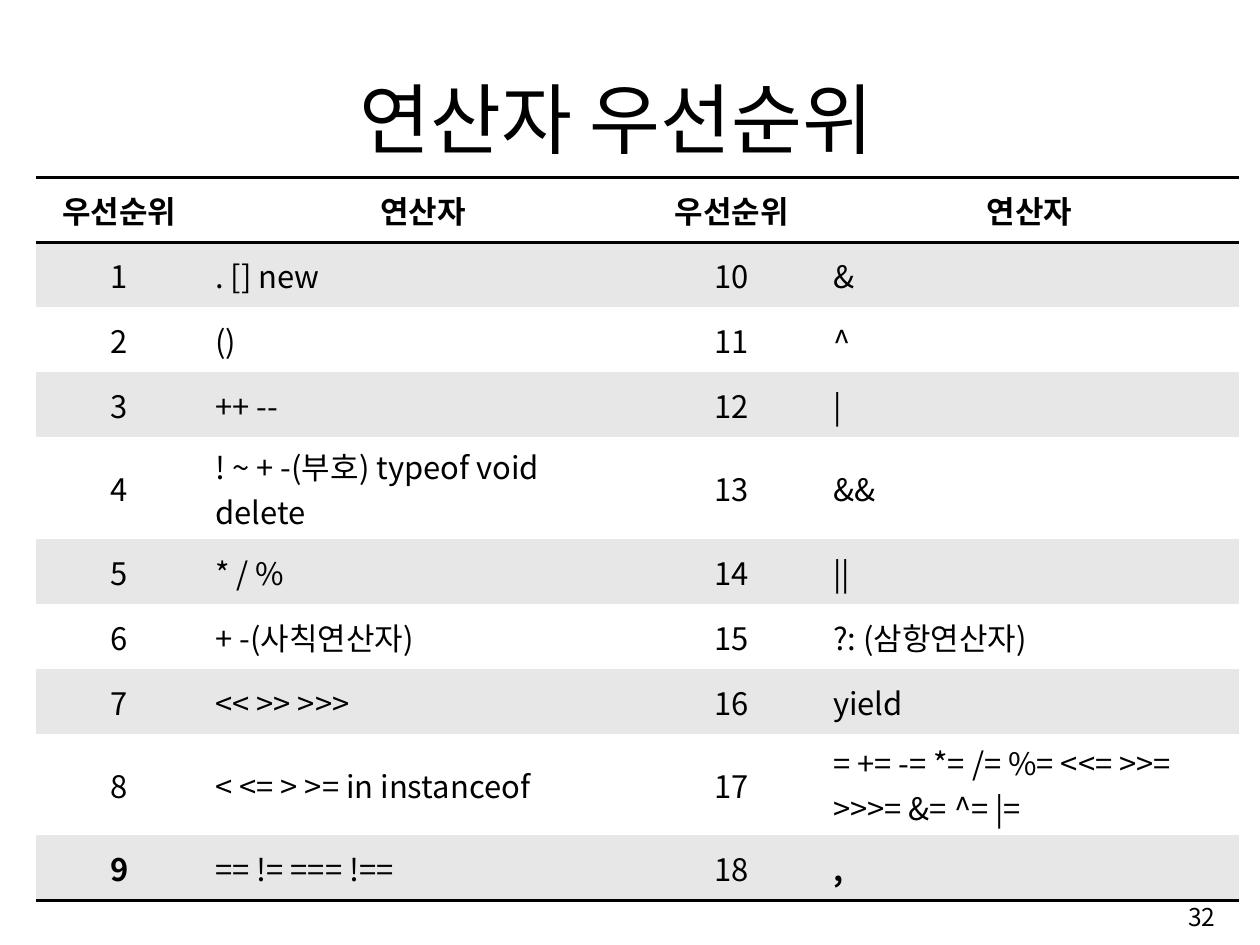
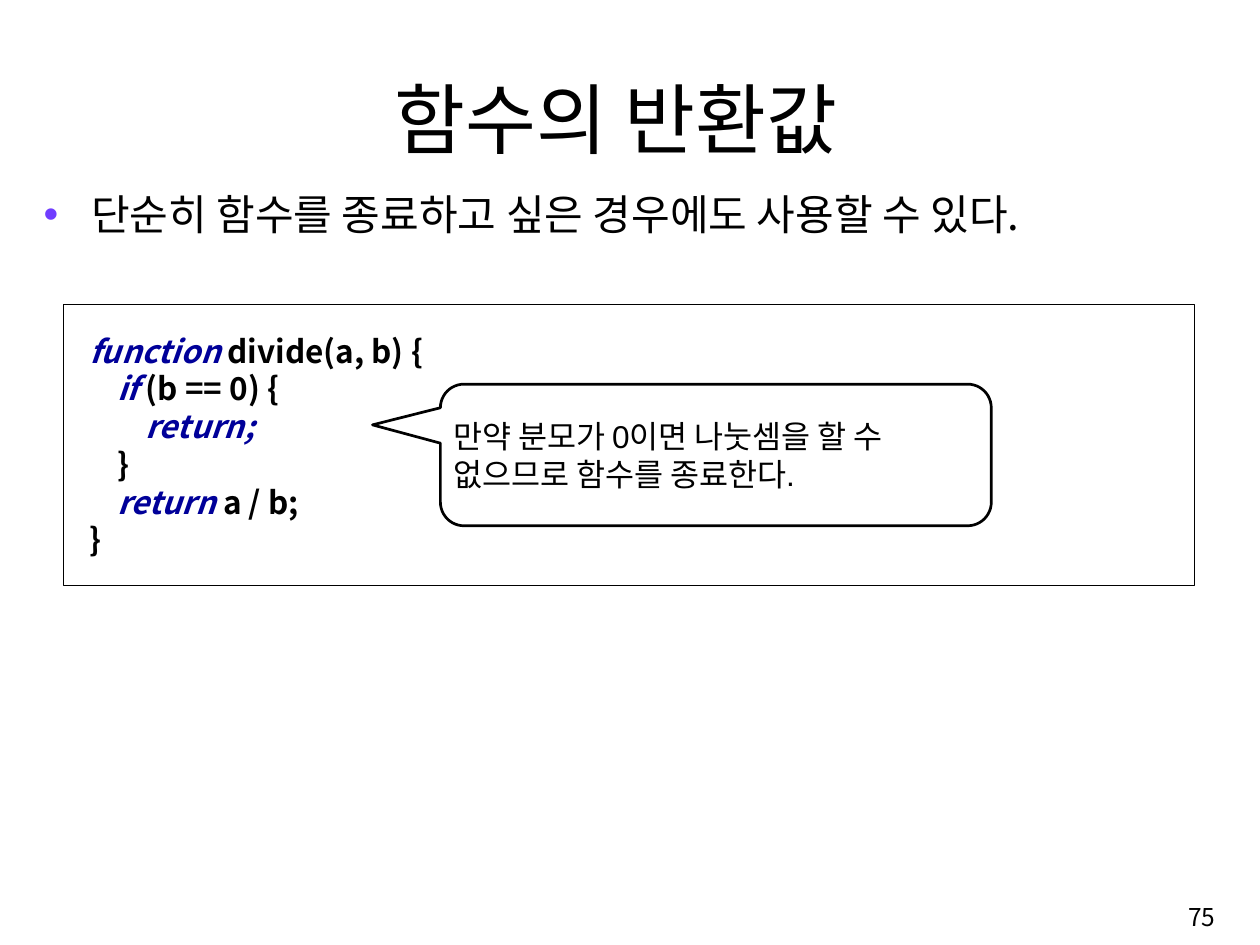
import dataclasses

import pptx
import pptx.util
import pptx.dml.color
import pptx.enum.shapes
import pptx.enum.text
import pptx.oxml
import pptx.oxml.ns

Inches = pptx.util.Inches
Pt = pptx.util.Pt
RGBColor = pptx.dml.color.RGBColor
Align = pptx.enum.text.PP_ALIGN
Anchor = pptx.enum.text.MSO_ANCHOR
ShapeKind = pptx.enum.shapes.MSO_SHAPE


@dataclasses.dataclass(frozen=True)
class Theme:
    font: str = "Noto Sans CJK KR"
    note_font: str = "Arial"
    ink: str = "000000"
    paper: str = "FFFFFF"
    band: str = "E7E7E7"
    keyword: str = "000099"
    bullet: str = "703DFF"
    title_size: float = 57.2
    body_size: float = 31.2
    code_size: float = 23.4
    table_size: float = 23
    number_size: float = 18.2
    body_leading: float = 37
    code_leading: float = 28
    rule: float = 2
    hairline: float = 0.75


THEME = Theme()
SLIDE_SIZE = (12.99, 9.74)
TITLE_BOX = (1.05, 0.61, 10.61, 1.08)
NUMBER_BOX = (9.98, 9.15, 2.68, 0.6)
BODY_BOX = (0.32, 1.89, 12.32, 7.06)
CODE_BOX = (0.65, 3.14, 11.67, 2.89)
CALLOUT_BOX = (4.54, 3.96, 5.68, 1.46)
CALLOUT_TIP = (3.84, 4.38)
INSETS = (0.13, 0.06, 0.13, 0.06)

PRECEDENCE_TITLE = "연산자 우선순위"
PRECEDENCE_HEADER = ("우선순위", "연산자")
OPERATORS = [
    ". [] new", "()", "++ --", "! ~ + -(부호) typeof void delete", "* / %",
    "+ -(사칙연산자)", "<< >> >>>", "< <= > >= in instanceof", "== != === !==",
    "&", "^", "|", "&&", "||", "?: (삼항연산자)", "yield",
    "= += -= *= /= %= <<= >>= >>>= &= ^= |=", ",",
]
BOLD_CELLS = ("9", ",")
TABLE_ORIGIN = (0.37, 1.83)
COLUMN_WIDTHS = (1.72, 4.54, 1.83, 4.31)
ROW_HEIGHT = 0.67
TALL_ROW_HEIGHT = 0.91
TALL_ROWS = (4, 8)

RETURN_TITLE = "함수의 반환값"
RETURN_POINT = "단순히 함수를 종료하고 싶은 경우에도 사용할 수 있다."
RETURN_NOTE = "만약 분모가 0이면 나눗셈을 할 수 없으므로 함수를 종료한다."
CODE_MARGIN = 0.14
CODE_INDENT = 0.29
CODE_LINES = [
    (0, "function", " divide(a, b) {"),
    (1, "if", " (b == 0) {"),
    (2, "return;", ""),
    (1, "", "}"),
    (1, "return", " a / b;"),
    (0, "", "}"),
]


def inches(values):
    return [Inches(value) for value in values]


def add_xml(parent, markup, index=None):
    namespace = pptx.oxml.ns.nsdecls("a")
    element = pptx.oxml.parse_xml(markup.replace(">", f" {namespace}>", 1)
                                  if "/>" not in markup.split(">", 1)[0] + ">"
                                  else markup.replace("/>", f" {namespace}/>", 1))
    parent.insert(len(parent) if index is None else index, element)


def write_text(paragraph, text, *, size, color=THEME.ink, font=THEME.font,
               bold=False, italic=False, align=Align.LEFT, leading=None,
               before=0, margin=0, hanging=0):
    paragraph.alignment = align
    paragraph.space_before = Pt(before)
    if leading:
        paragraph.line_spacing = Pt(leading)
    properties = paragraph._p.get_or_add_pPr()
    properties.set("marL", str(Inches(margin)))
    properties.set("indent", str(Inches(-hanging)))
    run = paragraph.add_run()
    run.text = text
    run.font.size = Pt(size)
    run.font.name = font
    run.font.bold = bold
    run.font.italic = italic
    run.font.color.rgb = RGBColor.from_string(color)
    add_xml(run._r.get_or_add_rPr(), f'<a:ea typeface="{THEME.font}"/>')


def prepare_frame(frame, anchor, insets=INSETS):
    frame.word_wrap = True
    frame.auto_size = pptx.enum.text.MSO_AUTO_SIZE.NONE
    frame.vertical_anchor = anchor
    (frame.margin_left, frame.margin_top,
     frame.margin_right, frame.margin_bottom) = inches(insets)
    return frame.paragraphs[0]


def place(shape, box):
    shape.left, shape.top, shape.width, shape.height = inches(box)


def add_slide(presentation, layout_index, title, number):
    slide = presentation.slides.add_slide(presentation.slide_layouts[layout_index])
    place(slide.shapes.title, TITLE_BOX)
    paragraph = prepare_frame(slide.shapes.title.text_frame, Anchor.BOTTOM,
                              (0.13, 0, 0.13, 0))
    write_text(paragraph, title, size=THEME.title_size, align=Align.CENTER)
    number_box = slide.shapes.add_textbox(*inches(NUMBER_BOX))
    paragraph = prepare_frame(number_box.text_frame, Anchor.MIDDLE)
    write_text(paragraph, str(number), size=THEME.number_size, align=Align.RIGHT)
    return slide


def add_panel(slide, kind, box, line_width):
    shape = slide.shapes.add_shape(kind, *inches(box))
    shape.shadow.inherit = False
    shape.fill.solid()
    shape.fill.fore_color.rgb = RGBColor.from_string(THEME.paper)
    shape.line.color.rgb = RGBColor.from_string(THEME.ink)
    shape.line.width = Pt(line_width)
    return shape


def format_cell(cell, text, *, fill, sides="", bold=False, align=Align.LEFT):
    cell.vertical_anchor = Anchor.MIDDLE
    (cell.margin_left, cell.margin_top,
     cell.margin_right, cell.margin_bottom) = inches(INSETS)
    cell.fill.solid()
    cell.fill.fore_color.rgb = RGBColor.from_string(fill)
    write_text(cell.text_frame.paragraphs[0], text, size=THEME.table_size,
               bold=bold, align=align)
    for index, side in enumerate(sides):
        add_xml(cell._tc.get_or_add_tcPr(),
                f'<a:ln{side} w="{Pt(THEME.rule)}"><a:solidFill>'
                f'<a:srgbClr val="{THEME.ink}"/></a:solidFill></a:ln{side}>', index)


def build_precedence_slide(presentation):
    slide = add_slide(presentation, 5, PRECEDENCE_TITLE, 32)
    half = len(OPERATORS) // 2
    ranked = [(str(rank), operator) for rank, operator in enumerate(OPERATORS, 1)]
    rows = [PRECEDENCE_HEADER * 2]
    rows += [left + right for left, right in zip(ranked[:half], ranked[half:])]
    heights = [TALL_ROW_HEIGHT if row in TALL_ROWS else ROW_HEIGHT
               for row in range(len(rows))]
    table = slide.shapes.add_table(
        len(rows), len(COLUMN_WIDTHS), *inches(TABLE_ORIGIN),
        Inches(sum(COLUMN_WIDTHS)), Inches(sum(heights))).table
    table.first_row = table.horz_banding = False
    style = table._tbl.tblPr.find(pptx.oxml.ns.qn("a:tableStyleId"))
    style.text = "{2D5ABB26-0587-4C30-8999-92F81FD0307C}"
    for column, width in zip(table.columns, COLUMN_WIDTHS):
        column.width = Inches(width)
    for row, height in zip(table.rows, heights):
        row.height = Inches(height)
    for row_index, values in enumerate(rows):
        header = row_index == 0
        sides = "TB" if header else "B" if row_index == half else ""
        for column_index, value in enumerate(values):
            centered = header or column_index % 2 == 0
            format_cell(table.cell(row_index, column_index), value,
                        fill=THEME.band if row_index % 2 else THEME.paper,
                        sides=sides, bold=header or value in BOLD_CELLS,
                        align=Align.CENTER if centered else Align.LEFT)


def build_return_slide(presentation):
    slide = add_slide(presentation, 1, RETURN_TITLE, 75)
    body = slide.placeholders[1]
    place(body, BODY_BOX)
    paragraph = prepare_frame(body.text_frame, Anchor.TOP)
    write_text(paragraph, RETURN_POINT, size=THEME.body_size, before=3,
               leading=THEME.body_leading, margin=0.49, hanging=0.49)
    properties = paragraph._p.get_or_add_pPr()
    add_xml(properties, f'<a:buClr><a:srgbClr val="{THEME.bullet}"/></a:buClr>')
    add_xml(properties, '<a:buChar char="•"/>')

    code = add_panel(slide, ShapeKind.RECTANGLE, CODE_BOX, THEME.hairline)
    paragraph = prepare_frame(code.text_frame, Anchor.MIDDLE)
    for index, (level, keyword, rest) in enumerate(CODE_LINES):
        if index:
            paragraph = code.text_frame.add_paragraph()
        for text, is_keyword in ((keyword, True), (rest, False)):
            if text:
                write_text(paragraph, text, size=THEME.code_size, bold=True,
                           italic=is_keyword, leading=THEME.code_leading,
                           color=THEME.keyword if is_keyword else THEME.ink,
                           margin=CODE_MARGIN + level * CODE_INDENT)

    callout = add_panel(slide, ShapeKind.ROUNDED_RECTANGULAR_CALLOUT,
                        CALLOUT_BOX, THEME.rule)
    left, top, width, height = CALLOUT_BOX
    callout.adjustments[0] = (CALLOUT_TIP[0] - left) / width - 0.5
    callout.adjustments[1] = (CALLOUT_TIP[1] - top) / height - 0.5
    paragraph = prepare_frame(callout.text_frame, Anchor.MIDDLE, (0.06,) * 4)
    write_text(paragraph, RETURN_NOTE, size=THEME.code_size,
               font=THEME.note_font, leading=THEME.code_leading)


def main():
    presentation = pptx.Presentation()
    presentation.slide_width, presentation.slide_height = inches(SLIDE_SIZE)
    build_precedence_slide(presentation)
    build_return_slide(presentation)
    presentation.save("out.pptx")


if __name__ == "__main__":
    main()
